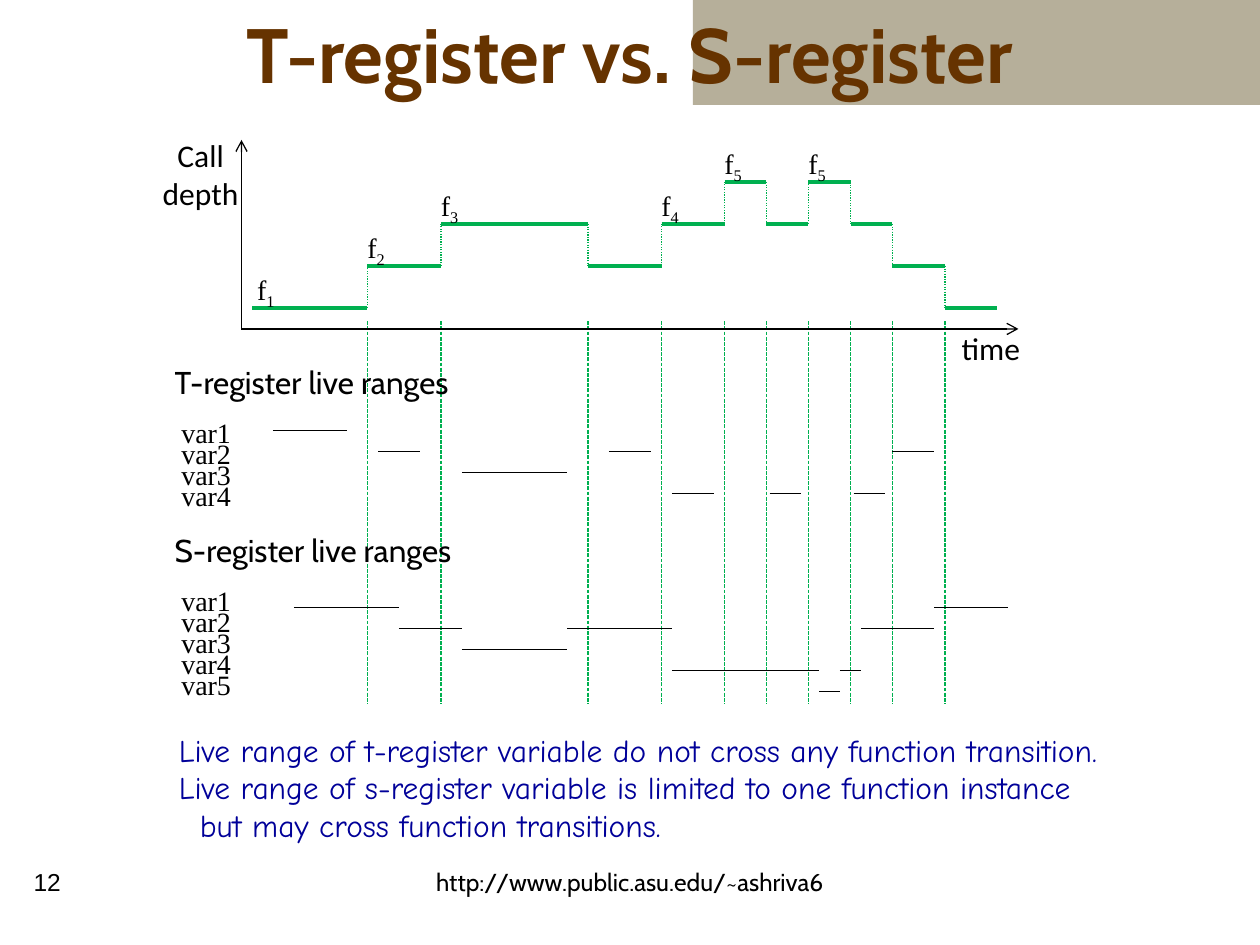
import pptx
import pptx.dml.color
import pptx.enum.dml
import pptx.enum.shapes
import pptx.enum.text
import pptx.util
from lxml import etree

rgb = pptx.dml.color.RGBColor.from_string
PP_ALIGN = pptx.enum.text.PP_ALIGN
ANCHOR = pptx.enum.text.MSO_ANCHOR
DASH = pptx.enum.dml.MSO_LINE
A = "{http://schemas.openxmlformats.org/drawingml/2006/main}"

prs = pptx.Presentation()
prs.slide_width = pptx.util.Inches(10)
prs.slide_height = pptx.util.Inches(7.5)
COL = prs.slide_width / 120
ROW = prs.slide_height / 90
s = prs.slides.add_slide(prs.slide_layouts[6])


def add_text(x, y, w, h, lines, size, font, color="000000", align=PP_ALIGN.LEFT,
             wrap=False, bold=False, anchor=ANCHOR.TOP, sub=""):
    sp = s.shapes.add_textbox(int(x * COL), int(y * ROW), int(w * COL), int(h * ROW))
    tf = sp.text_frame
    tf.word_wrap = wrap
    tf.vertical_anchor = anchor
    tf.text = lines
    if sub:
        r = tf.paragraphs[0].add_run()
        r.text = sub
        r.font._element.set("baseline", "-25000")
    for p in tf.paragraphs:
        p.alignment = align
        for r in p.runs:
            r.font.size = pptx.util.Pt(size)
            r.font.name = font
            r.font.bold = bold
            r.font.color.rgb = rgb(color)
    return tf


def add_line(x1, y1, x2, y2, color="000000", width=0.75, dash=None, arrow=False):
    sp = s.shapes.add_connector(pptx.enum.shapes.MSO_CONNECTOR.STRAIGHT,
                                int(x1 * COL), int(y1 * ROW), int(x2 * COL), int(y2 * ROW))
    sp.line.color.rgb = rgb(color)
    sp.line.width = pptx.util.Pt(width)
    if dash:
        sp.line.dash_style = dash
    if arrow:
        etree.SubElement(sp.line._get_or_add_ln(), A + "tailEnd", type="arrow")
    etree.SubElement(sp._element.spPr, A + "effectLst")


band = s.shapes.add_shape(pptx.enum.shapes.MSO_SHAPE.RECTANGLE,
                          int(66 * COL), 0, int(54 * COL), int(10 * ROW))
band.shadow.inherit = False
band.fill.solid()
band.fill.fore_color.rgb = rgb("B6AF9A")
band.line.fill.background()

add_text(9, 0, 102, 10, "T-register vs. S-register", 44, "Cabin", "663300",
         PP_ALIGN.CENTER, True, True, ANCHOR.MIDDLE)
add_text(32, 82, 56, 6, "http://www.public.asu.edu/~ashriva6", 14, "Cabin",
         align=PP_ALIGN.CENTER, wrap=True)
add_text(1, 82, 7, 6, "12", 14, "Arial", align=PP_ALIGN.CENTER, wrap=True)

GREEN = "00B050"
times = [24, 35, 42, 56, 63, 69, 73, 77, 81, 85, 90, 95]
depths = [0, 1, 2, 1, 2, 3, 2, 3, 2, 1, 0]
levels = [29.33 - 4 * d for d in depths]
for start, end, y in zip(times, times[1:], levels):
    add_line(start, y, end, y, GREEN, 2.25)
for x, before, after in zip(times[1:], levels, levels[1:]):
    add_line(x, before, x, after, GREEN, dash=DASH.ROUND_DOT)
    add_line(x, 30.6, x, 67, GREEN, dash=DASH.SQUARE_DOT)

for x, step, number in [(23.3, 0, "1"), (33.8, 1, "2"), (40.8, 2, "3"),
                        (61.8, 4, "4"), (67.8, 5, "5"), (75.8, 7, "5")]:
    add_text(x, levels[step] - 4, 4.2, 4.9, "f", 16, "Times New Roman", sub=number)

add_line(23, 31.33, 97, 31.33, arrow=True)
add_line(23, 31.33, 23, 13.33, arrow=True)
add_text(90.4, 30.75, 9, 4.8, "time", 18, "Calibri")
add_text(14.1, 12.4, 10, 8.4, "Call\ndepth", 18, "Calibri", align=PP_ALIGN.CENTER)

t_ranges = [
    [(26, 33)],
    [(36, 40), (58, 62), (85, 89)],
    [(44, 54)],
    [(64, 68), (73.3, 76.3), (81.3, 84.3)],
]
s_ranges = [
    [(28, 38), (89, 96)],
    [(38, 44), (54, 64), (82, 89)],
    [(44, 54)],
    [(64, 78), (80, 82)],
    [(78, 80)],
]
for kind, top, first_line, ranges in [("T", 34, 41, t_ranges), ("S", 50, 57.85, s_ranges)]:
    add_text(15.45, top, 33, 4.8, f"{kind}-register live ranges", 18, "Cabin")
    for i, spans in enumerate(ranges):
        add_text(16.1, top + 5 + 2 * i, 7.5, 4.4, f"var{i + 1}", 16, "Times New Roman")
        for start, end in spans:
            add_line(start, first_line + 2 * i, end, first_line + 2 * i)

tf = add_text(15.85, 69, 92, 12,
              "Live range of t-register variable do not cross any function transition.\n"
              "Live range of s-register variable is limited to one function instance\v"
              "but may cross function transitions.", 18, "Comic Neue", "000099")
pPr = tf.paragraphs[1]._p.get_or_add_pPr()
pPr.set("marL", str(int(2 * COL)))
pPr.set("indent", str(int(-2 * COL)))

prs.save("out.pptx")
